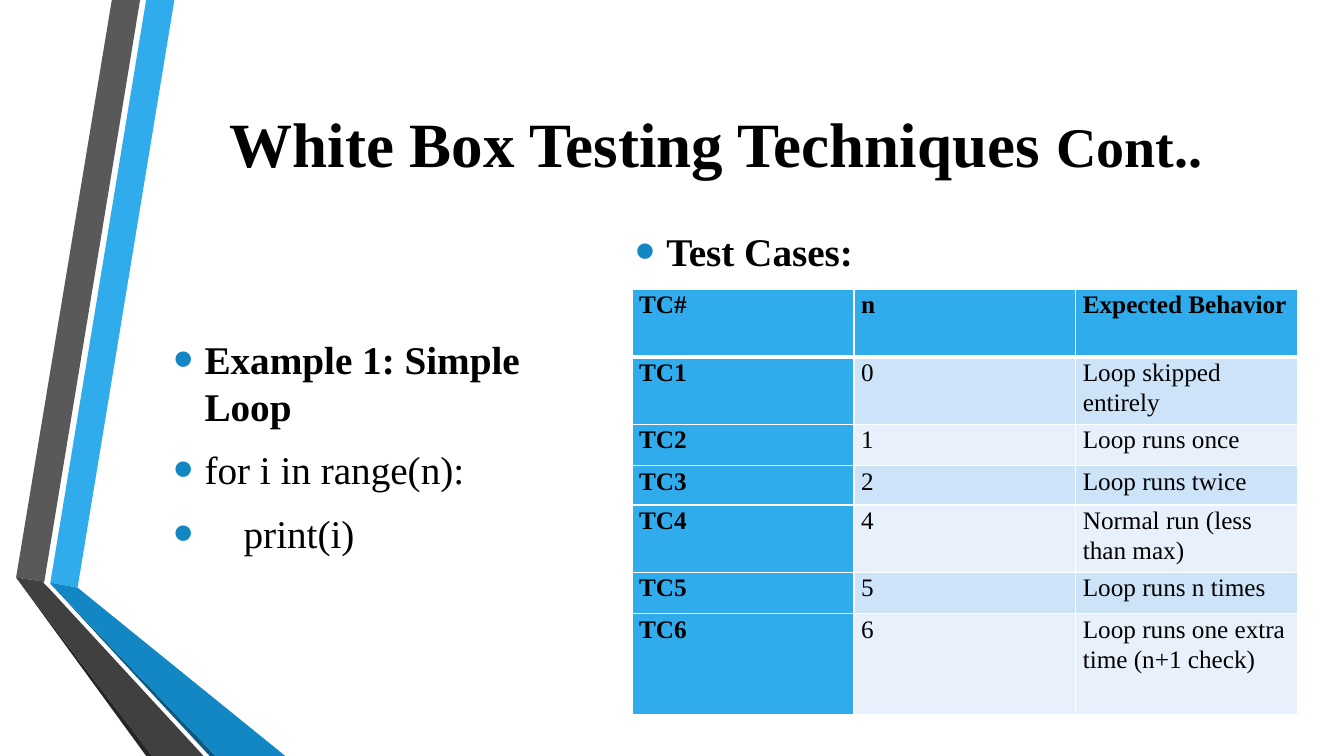
"""Build the slide on white box testing: a loop example and its test cases."""
from lxml import etree
from pptx import Presentation, util as u
from pptx.dml.color import RGBColor
from pptx.enum import text
from pptx.oxml import ns

COLOURS = {
    "black": "000000", "white": "FFFFFF", "sky": "30ACEC", "blue": "1287C3",
    "navy": "0C5A82", "grey": "595959", "dark": "404040", "coal": "262626",
    "tint": "CDE3F8", "pale": "E8F1FB",
}
FONT = "Times New Roman"
WIDTH, HEIGHT = 1333, 750
UNIT = u.Inches(0.01)

RIBBONS = [
    ("sky", [(50, 578), (77, 583), (173, 0), (145, 0)]),
    ("grey", [(139, 0), (111, 0), (16, 573), (44, 577)]),
    ("coal", [(16, 573), (145, HEIGHT), (151, HEIGHT)]),
    ("navy", [(50, 579), (208, HEIGHT), (214, HEIGHT)]),
    ("blue", [(50, 579), (214, HEIGHT), (283, HEIGHT), (77, 583), (50, 578)]),
    ("dark", [(202, HEIGHT), (48, 583), (43, 578), (44, 577), (16, 573), (151, HEIGHT)]),
]
TITLE = [("White Box Testing Techniques ", 45), ("Cont..", 40)]
EXAMPLE = [("Example 1: Simple Loop", True), ("for i in range(n):", False),
           ("    print(i)", False)]
CASES_HEADING = [("Test Cases:", True)]
CASES = [
    ("TC#", "n", "Expected Behavior"),
    ("TC1", "0", "Loop skipped entirely"),
    ("TC2", "1", "Loop runs once"),
    ("TC3", "2", "Loop runs twice"),
    ("TC4", "4", "Normal run (less than max)"),
    ("TC5", "5", "Loop runs n times"),
    ("TC6", "6", "Loop runs one extra time (n+1 check)"),
]
ROW_HEIGHTS = [67, 67, 41, 39, 67, 41, 100]
COLUMN_WIDTH = 220

TITLE_AREA = (162, 75, 1096, 192)
EXAMPLE_AREA = (162, 248, 435, 388)
HEADING_AREA = (620, 212, 435, 74)
TABLE_AREA = (627, 287, 3 * COLUMN_WIDTH, sum(ROW_HEIGHTS))


def colour(name):
    return RGBColor.from_string(COLOURS[name])


def place(area):
    return [u.Emu(share * UNIT) for share in area]


def add_span(para, words, size=28, bold=True):
    span = para.add_run()
    span.text = words
    span.font.name = FONT
    span.font.size = u.Pt(size)
    span.font.bold = bold
    span.font.color.rgb = colour("black")


def add_element(parent, tag, **attributes):
    return etree.SubElement(parent, ns.qn(tag), attributes)


def add_bullet(para):
    settings = para._p.get_or_add_pPr()
    settings.set("marL", str(31 * UNIT))
    settings.set("indent", str(-31 * UNIT))
    add_element(add_element(settings, "a:buClr"), "a:srgbClr", val=COLOURS["blue"])
    add_element(settings, "a:buSzPct", val="145000")
    add_element(settings, "a:buFont", typeface="Arial")
    add_element(settings, "a:buChar", char="•")


def add_box(page, area):
    frame = page.shapes.add_textbox(*place(area)).text_frame
    frame.word_wrap = True
    frame.vertical_anchor = text.MSO_ANCHOR.MIDDLE
    return frame


def add_bullets(page, area, items):
    frame = add_box(page, area)
    for index, (words, bold) in enumerate(items):
        para = frame.add_paragraph() if index else frame.paragraphs[0]
        add_bullet(para)
        if index:
            para.space_before = u.Pt(5.6)
        para.space_after = u.Pt(6)
        add_span(para, words, bold=bold)


def add_ribbons(page):
    group = page.shapes.add_group_shape()
    for name, points in RIBBONS:
        builder = group.shapes.build_freeform(*points[0], scale=UNIT)
        builder.add_line_segments(points[1:], close=True)
        ribbon = builder.convert_to_shape()
        ribbon.shadow.inherit = False
        ribbon.fill.solid()
        ribbon.fill.fore_color.rgb = colour(name)
        ribbon.line.fill.background()


def add_borders(cell, row):
    settings = cell._tc.get_or_add_tcPr()
    widths = {"a:lnL": 1, "a:lnR": 1, "a:lnT": 3 if row == 1 else 1,
              "a:lnB": 3 if row == 0 else 1}
    for tag, width in widths.items():
        line = add_element(settings, tag, w=str(u.Pt(width)))
        add_element(add_element(line, "a:solidFill"), "a:srgbClr", val=COLOURS["white"])


def add_cases(page):
    table = page.shapes.add_table(len(CASES), len(CASES[0]), *place(TABLE_AREA)).table
    for row, (values, height) in enumerate(zip(CASES, ROW_HEIGHTS)):
        table.rows[row].height = u.Emu(height * UNIT)
        for column, words in enumerate(values):
            cell = table.cell(row, column)
            heading = row == 0 or column == 0
            cell.margin_left = cell.margin_right = u.Inches(0.07)
            cell.margin_top = cell.margin_bottom = 0
            add_borders(cell, row)
            cell.fill.solid()
            cell.fill.fore_color.rgb = colour(
                "sky" if heading else "tint" if row % 2 else "pale")
            para = cell.text_frame.paragraphs[0]
            para.line_spacing = 1.07
            add_span(para, words, size=18, bold=heading)


def main():
    deck = Presentation()
    deck.slide_width, deck.slide_height = place((WIDTH, HEIGHT))
    page = deck.slides.add_slide(deck.slide_layouts[6])
    add_ribbons(page)
    title = add_box(page, TITLE_AREA)
    title.margin_bottom = u.Inches(0.65)
    title.paragraphs[0].alignment = text.PP_ALIGN.CENTER
    for words, size in TITLE:
        add_span(title.paragraphs[0], words, size=size)
    add_bullets(page, EXAMPLE_AREA, EXAMPLE)
    add_cases(page)
    add_bullets(page, HEADING_AREA, CASES_HEADING)
    deck.save("out.pptx")


if __name__ == "__main__":
    main()
